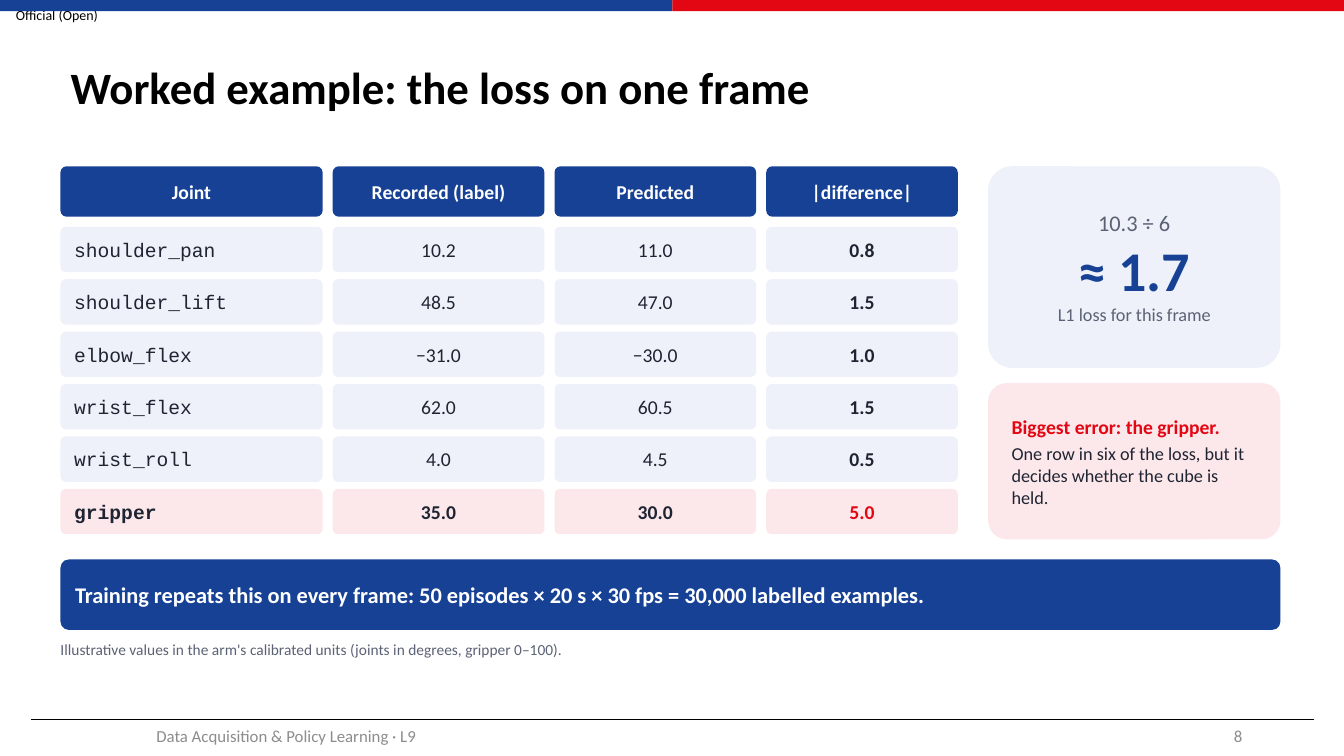
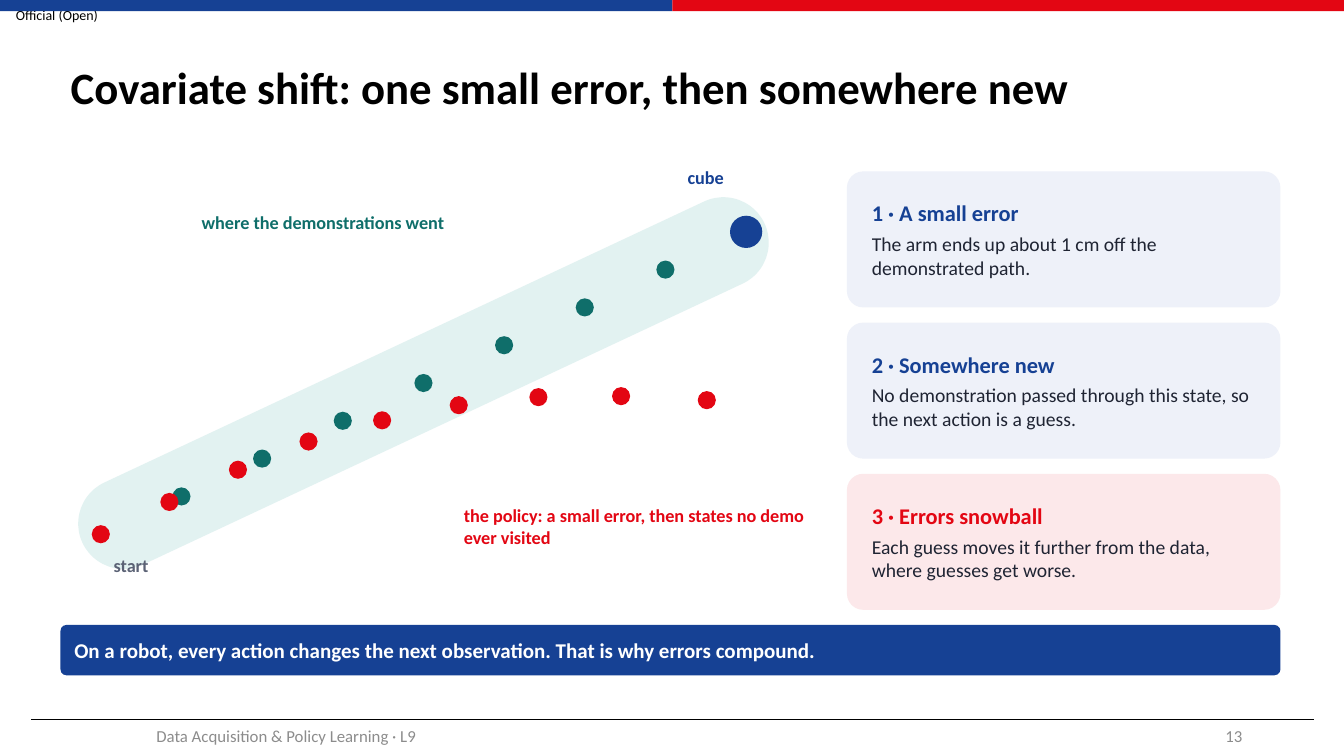
import math
from dataclasses import dataclass
from typing import NamedTuple

from lxml import etree
from pptx import Presentation
from pptx.dml.color import RGBColor
from pptx.enum.shapes import MSO_CONNECTOR, MSO_SHAPE
from pptx.enum.text import MSO_ANCHOR, MSO_AUTO_SIZE, PP_ALIGN
from pptx.oxml.ns import qn
from pptx.util import Pt

EMU_PER_PX = 9144  # 100 px to the inch
LEFT, CENTER, RIGHT = PP_ALIGN.LEFT, PP_ALIGN.CENTER, PP_ALIGN.RIGHT
TOP, MIDDLE = MSO_ANCHOR.TOP, MSO_ANCHOR.MIDDLE
RECTANGLE, ROUNDED, OVAL = MSO_SHAPE.RECTANGLE, MSO_SHAPE.ROUNDED_RECTANGLE, MSO_SHAPE.OVAL
STRAIGHT = MSO_CONNECTOR.STRAIGHT
NO_AUTOFIT = MSO_AUTO_SIZE.NONE
TITLE_ONLY = 5


@dataclass(frozen=True)
class Theme:
    font: str = "Calibri"
    code_font: str = "Courier New"
    black: str = "000000"
    white: str = "FFFFFF"
    blue: str = "164194"
    red: str = "E30613"
    teal: str = "0F6E6A"
    ink: str = "1F2433"
    muted: str = "5B6275"
    footer_gray: str = "8C8C8C"
    pale_blue: str = "EEF1F9"
    pale_red: str = "FCE8EA"
    pale_teal: str = "E2F2F1"
    title_size: int = 32
    figure_size: int = 40
    heading_size: int = 16
    callout_size: int = 15
    body_size: int = 14
    label_size: int = 13
    footer_size: int = 12
    note_size: int = 11
    tag_size: int = 10
    corner: float = 0.12


THEME = Theme()


class Box(NamedTuple):
    left: int
    top: int
    width: int
    height: int

    def inner(self, left, top, width, height):
        """Turn a box measured from this box's corner into a slide box."""
        return Box(self.left + left, self.top + top, width, height)


PAGE = Box(0, 0, 1333, 750)
TITLE_BOX = Box(60, 30, 1208, 118)


def px(length):
    return round(length * EMU_PER_PX)


def emu(box):
    return [px(length) for length in box]


def write_text(frame, text, size=THEME.body_size, color=THEME.ink, bold=False,
               font=THEME.font, align=LEFT, space_after=0, line_spacing=None):
    """Add one paragraph, using the empty first one when there is one."""
    paragraph = frame.add_paragraph() if frame.text else frame.paragraphs[0]
    paragraph.alignment = align
    paragraph.space_after = Pt(space_after)
    paragraph.line_spacing = line_spacing
    run = paragraph.add_run()
    run.text = text
    run.font.name = font
    run.font.size = Pt(size)
    run.font.bold = bold
    run.font.color.rgb = RGBColor.from_string(color)


def prepare_frame(shape, inset, anchor):
    frame = shape.text_frame
    frame.word_wrap = True
    frame.vertical_anchor = anchor
    frame.margin_left = frame.margin_right = px(inset[0])
    frame.margin_top = frame.margin_bottom = px(inset[1])
    return frame


def add_filled(slide, kind, box, fill):
    shape = slide.shapes.add_shape(kind, *emu(box))
    shape.shadow.inherit = False
    shape.fill.solid()
    shape.fill.fore_color.rgb = RGBColor.from_string(fill)
    shape.line.fill.background()
    return shape


def add_card(slide, box, fill, inset):
    """Draw a rounded panel and return its text frame."""
    card = add_filled(slide, ROUNDED, box, fill)
    card.adjustments[0] = THEME.corner
    return prepare_frame(card, inset, MIDDLE)


def add_label(slide, box, text, inset=(0, 0), anchor=TOP, **text_format):
    label = slide.shapes.add_textbox(*emu(box))
    write_text(prepare_frame(label, inset, anchor), text, **text_format)
    return label


def add_dot(slide, center, diameter, color):
    x, y = center
    corner = (x - diameter / 2, y - diameter / 2)
    add_filled(slide, OVAL, Box(*corner, diameter, diameter), color)


def add_callout(slide, box, text, size):
    frame = add_card(slide, box, THEME.blue, (12, 6))
    write_text(frame, text, size=size, color=THEME.white, bold=True)


def add_heading_card(slide, box, heading, body, accent, fill, inset,
                     heading_size, body_size, gap):
    frame = add_card(slide, box, fill, inset)
    write_text(frame, heading, size=heading_size, color=accent, bold=True, space_after=gap)
    write_text(frame, body, size=body_size)


def brand_layout(presentation, layout):
    """Give the layout its bands, tag and rule, drawn on a slide and moved over."""
    for placeholder in list(layout.placeholders):
        if placeholder.placeholder_format.idx == 0:
            (placeholder.left, placeholder.top,
             placeholder.width, placeholder.height) = emu(TITLE_BOX)
        else:
            placeholder.element.getparent().remove(placeholder.element)

    slide = presentation.slides.add_slide(layout)
    half = PAGE.width // 2 + 1
    tag = add_label(slide, Box(0, 0, 113, 29), "Official (Open)", anchor=MIDDLE,
                    size=THEME.tag_size, color=THEME.black, align=CENTER)
    blue_band = add_filled(slide, RECTANGLE, Box(0, 0, half, 11), THEME.blue)
    red_band = add_filled(slide, RECTANGLE, Box(half, 0, PAGE.width - half, 11), THEME.red)
    rule = slide.shapes.add_connector(STRAIGHT, px(31), px(714), px(1303), px(714))
    rule.line.width = Pt(0.5)
    rule.line.color.rgb = RGBColor.from_string(THEME.black)
    etree.SubElement(rule.element.spPr, qn("a:effectLst"))
    for shape in (tag, blue_band, red_band, rule):
        layout.shapes.element.append(shape.element)
    return slide


def add_title_and_footer(slide, title, number):
    frame = slide.shapes.title.text_frame
    frame.auto_size = NO_AUTOFIT
    frame.vertical_anchor = MIDDLE
    write_text(frame, title, size=THEME.title_size, color=THEME.black, bold=True,
               line_spacing=0.9)
    for box, text, align in (
        (Box(59, 710, 450, 40), "Data Acquisition & Policy Learning · L9", CENTER),
        (Box(942, 710, 300, 40), str(number), RIGHT),
    ):
        add_label(slide, box, text, inset=(10, 5), anchor=MIDDLE, align=align,
                  size=THEME.footer_size, color=THEME.footer_gray)


def add_loss_grid(slide, box):
    """Draw the joint values as a grid of separate rounded cells."""
    widths, column_gap = (260, 210, 200, 190), 10
    header_height, first_row, row_height, row_pitch = 50, 60, 45, 52
    headers = ("Joint", "Recorded (label)", "Predicted", "|difference|")
    rows = (
        ("shoulder_pan", "10.2", "11.0", "0.8"),
        ("shoulder_lift", "48.5", "47.0", "1.5"),
        ("elbow_flex", "−31.0", "−30.0", "1.0"),
        ("wrist_flex", "62.0", "60.5", "1.5"),
        ("wrist_roll", "4.0", "4.5", "0.5"),
        ("gripper", "35.0", "30.0", "5.0"),
    )
    lefts = [sum(widths[:column]) + column * column_gap for column in range(len(widths))]
    for left, width, header in zip(lefts, widths, headers):
        frame = add_card(slide, box.inner(left, 0, width, header_height), THEME.blue, (4, 2))
        write_text(frame, header, color=THEME.white, bold=True, align=CENTER)
    for row_index, row in enumerate(rows):
        worst = row[0] == "gripper"
        top = first_row + row_index * row_pitch
        for column, (left, width, value) in enumerate(zip(lefts, widths, row)):
            is_joint, is_difference = column == 0, column == len(widths) - 1
            frame = add_card(slide, box.inner(left, top, width, row_height),
                             THEME.pale_red if worst else THEME.pale_blue, (12, 2))
            write_text(frame, value, bold=worst or is_difference,
                       color=THEME.red if worst and is_difference else THEME.ink,
                       font=THEME.code_font if is_joint else THEME.font,
                       align=LEFT if is_joint else CENTER)


def add_result_cards(slide, box):
    frame = add_card(slide, box.inner(0, 0, box.width, 200), THEME.pale_blue, (12, 6))
    write_text(frame, "10.3 ÷ 6", size=THEME.heading_size, color=THEME.muted, align=CENTER)
    write_text(frame, "≈ 1.7", size=THEME.figure_size, color=THEME.blue, bold=True,
               align=CENTER)
    write_text(frame, "L1 loss for this frame", size=THEME.label_size, color=THEME.muted,
               align=CENTER)
    add_heading_card(
        slide, box.inner(0, 215, box.width, 155), "Biggest error: the gripper.",
        "One row in six of the loss, but it decides whether the cube is held.",
        THEME.red, THEME.pale_red, inset=(18, 8), heading_size=THEME.body_size,
        body_size=THEME.label_size, gap=3)


def add_drift_diagram(slide, box):
    """Draw the demonstrated corridor, both dotted paths and their labels."""
    start_x, start_y = box.left + 40, box.top + 365
    run, rise, steps = 640, -300, 8
    length, thickness, dot = round(math.hypot(run, rise)) + 40, 90, 18
    corridor = add_filled(slide, ROUNDED, Box(
        start_x + (run - length) / 2, start_y + (rise - thickness) / 2,
        length, thickness), THEME.pale_teal)
    corridor.adjustments[0] = 0.5
    corridor.rotation = math.degrees(math.atan2(rise, run))

    for step in range(1, steps):
        center = (start_x + run * step / steps, start_y + rise * step / steps)
        add_dot(slide, center, dot, THEME.teal)
    policy_offsets = ((0, 0), (68, -32), (136, -64), (206, -92), (279, -113),
                      (355, -128), (434, -136), (516, -137), (601, -133))
    for x, y in policy_offsets:
        add_dot(slide, (start_x + x, start_y + y), dot, THEME.red)
    add_dot(slide, (start_x + run, start_y + rise), 32, THEME.blue)

    for place, text, color, align in (
        ((560, 0, 160, 35), "cube", THEME.blue, CENTER),
        ((0, 385, 140, 35), "start", THEME.muted, CENTER),
        ((140, 45, 360, 60), "where the demonstrations went", THEME.teal, LEFT),
        ((400, 335, 340, 70), "the policy: a small error, then states no demo ever visited",
         THEME.red, LEFT),
    ):
        add_label(slide, box.inner(*place), text, size=THEME.label_size, color=color,
                  bold=True, align=align)


def add_step_cards(slide, box):
    steps = (
        ("1 · A small error", "The arm ends up about 1 cm off the demonstrated path.",
         THEME.blue, THEME.pale_blue),
        ("2 · Somewhere new",
         "No demonstration passed through this state, so the next action is a guess.",
         THEME.blue, THEME.pale_blue),
        ("3 · Errors snowball",
         "Each guess moves it further from the data, where guesses get worse.",
         THEME.red, THEME.pale_red),
    )
    gap = 15
    height = (box.height - gap * (len(steps) - 1)) // len(steps)
    for index, step in enumerate(steps):
        add_heading_card(slide, box.inner(0, index * (height + gap), box.width, height),
                         *step, inset=(20, 10), heading_size=THEME.heading_size,
                         body_size=THEME.body_size, gap=4)


def build_loss_slide(slide):
    add_title_and_footer(slide, "Worked example: the loss on one frame", 8)
    add_loss_grid(slide, Box(60, 165, 890, 365))
    add_result_cards(slide, Box(980, 165, 290, 370))
    add_callout(slide, Box(60, 555, 1210, 70),
                "Training repeats this on every frame: "
                "50 episodes × 20 s × 30 fps = 30,000 labelled examples.",
                THEME.heading_size)
    add_label(slide, Box(60, 635, 1210, 30),
              "Illustrative values in the arm's calibrated units "
              "(joints in degrees, gripper 0–100).",
              size=THEME.note_size, color=THEME.muted)


def build_shift_slide(slide):
    add_title_and_footer(slide, "Covariate shift: one small error, then somewhere new", 13)
    add_drift_diagram(slide, Box(60, 165, 740, 420))
    add_step_cards(slide, Box(840, 170, 430, 435))
    add_callout(slide, Box(60, 620, 1210, 50),
                "On a robot, every action changes the next observation. "
                "That is why errors compound.", THEME.callout_size)


def main():
    presentation = Presentation()
    presentation.slide_width, presentation.slide_height = px(PAGE.width), px(PAGE.height)
    layout = presentation.slide_layouts[TITLE_ONLY]
    build_loss_slide(brand_layout(presentation, layout))
    build_shift_slide(presentation.slides.add_slide(layout))
    presentation.save("out.pptx")


if __name__ == "__main__":
    main()
